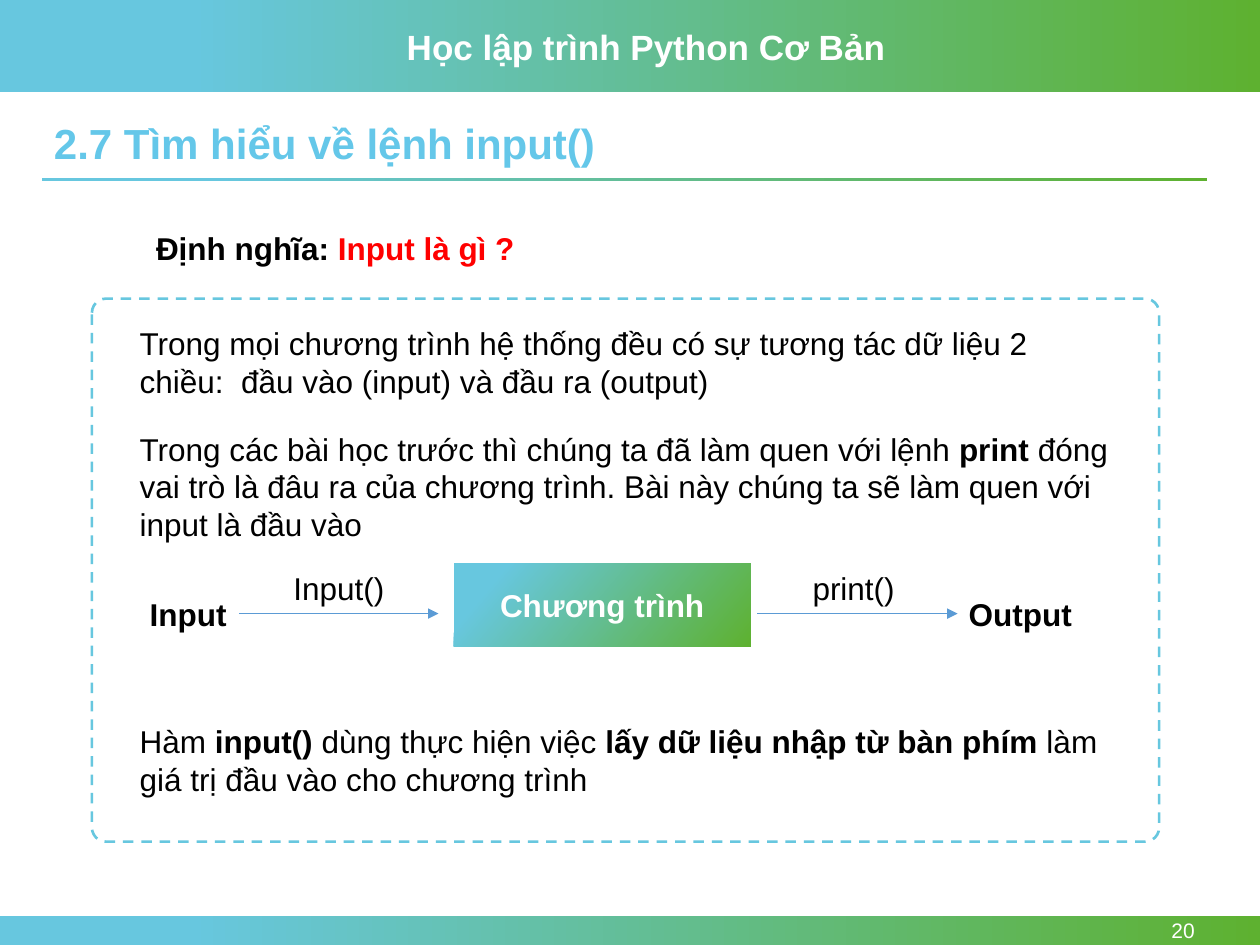
import pptx
import pptx.dml.color
import pptx.enum.dml
import pptx.enum.shapes
import pptx.enum.text
import pptx.oxml
import pptx.oxml.ns
import pptx.util
from pptx.util import Inches

THEME = {
    "font": "Arial",
    "sky": "67C7DF", "green": "5EB130", "heading": "64C7E9", "arrow": "5B9BD5",
    "white": "FFFFFF", "black": "000000", "red": "FF0000",
    "banner_size": 20, "heading_size": 24, "body_size": 18, "number_size": 12,
}

# Rectangles: left, top, width, height in inches
BARS = [(0, 0, 10, 0.73), (0, 7.27, 10, 0.23), (0.33, 1.41, 9.25, 0.03)]
FRAME = (0.73, 2.37, 8.47, 4.31)
PROGRAM_BOX = (3.6, 4.47, 2.36, 0.66)

# Runs: text, bold, colour name
BANNER = [("Học lập trình Python Cơ Bản", True, "white")]
HEADING = [("2.7 Tìm hiểu về lệnh input()", True, "heading")]
PAGE_NUMBER = [("20", False, "white")]
PROGRAM = [("Chương trình", True, "white")]
DEFINITION = [("Định nghĩa: ", True, "black"), ("Input là gì ?", True, "red")]

# Explanations: top, height, runs
EXPLANATIONS = [
    (2.52, 0.71, [
        ("Trong mọi chương trình hệ thống đều có sự tương tác dữ liệu 2 chiều:  "
         "đầu vào (input) và đầu ra (output)", False, "black")]),
    (3.36, 1.01, [
        ("Trong các bài học trước thì chúng ta đã làm quen với lệnh ", False, "black"),
        ("print ", True, "black"),
        ("đóng vai trò là đâu ra của chương trình. Bài này chúng ta sẽ làm quen "
         "với input là đầu vào", False, "black")]),
    (5.68, 0.71, [
        ("Hàm ", False, "black"),
        ("input() ", True, "black"),
        ("dùng thực hiện việc ", False, "black"),
        ("lấy dữ liệu nhập từ bàn phím ", True, "black"),
        ("làm giá trị đầu vào cho chương trình", False, "black")]),
]

# Diagram labels: text, bold, left, top, width
LABELS = [
    ("Input", True, 1.09, 4.67, 1.24),
    ("Output", True, 7.59, 4.67, 1.24),
    ("Input()", False, 2.23, 4.47, 1.05),
    ("print()", False, 6.35, 4.47, 1.05),
]
LABEL_HEIGHT = 0.4
ARROW_TOP = 4.87
ARROWS = [(1.9, 3.48), (6.01, 7.6)]

ALIGN = pptx.enum.text.PP_ALIGN
ANCHOR = pptx.enum.text.MSO_ANCHOR
SHAPES = pptx.enum.shapes.MSO_SHAPE


def color(name):
    return pptx.dml.color.RGBColor.from_string(THEME[name])


def write_runs(shape, runs, size, align=ALIGN.LEFT):
    paragraph = shape.text_frame.paragraphs[0]
    paragraph.alignment = align
    for text, bold, color_name in runs:
        run = paragraph.add_run()
        run.text = text
        run.font.name = THEME["font"]
        run.font.size = pptx.util.Pt(THEME[size])
        run.font.bold = bold
        run.font.color.rgb = color(color_name)
    return paragraph


def add_text(slide, box, runs, size="body_size", align=ALIGN.LEFT, anchor=ANCHOR.TOP):
    shape = slide.shapes.add_textbox(*map(Inches, box))
    shape.text_frame.word_wrap = True
    shape.text_frame.vertical_anchor = anchor
    return write_runs(shape, runs, size, align)


def add_shape(slide, kind, box):
    shape = slide.shapes.add_shape(kind, *map(Inches, box))
    shape.shadow.inherit = False
    return shape


def add_gradient_bar(slide, box, clockwise_angle=0):
    bar = add_shape(slide, SHAPES.RECTANGLE, box)
    bar.line.fill.background()
    bar.fill.gradient()
    bar.fill.gradient_angle = -clockwise_angle % 360
    stops = [(0.15, "sky"), (1, "green")]
    for stop, (position, color_name) in zip(bar.fill.gradient_stops, stops):
        stop.position = position
        stop.color.rgb = color(color_name)
    return bar


def add_frame(slide):
    frame = add_shape(slide, SHAPES.ROUNDED_RECTANGLE, FRAME)
    frame.adjustments[0] = 0.026
    frame.fill.solid()
    frame.fill.fore_color.rgb = color("white")
    frame.line.color.rgb = color("sky")
    frame.line.width = pptx.util.Pt(1.5)
    frame.line.dash_style = pptx.enum.dml.MSO_LINE.DASH


def add_arrow(slide, start, end):
    arrow = slide.shapes.add_connector(
        pptx.enum.shapes.MSO_CONNECTOR.STRAIGHT,
        Inches(start), Inches(ARROW_TOP), Inches(end), Inches(ARROW_TOP))
    arrow.line.color.rgb = color("arrow")
    arrow.line.width = pptx.util.Pt(0.5)
    namespace = pptx.oxml.ns.nsdecls("a")
    line = arrow.line._get_or_add_ln()
    line.append(pptx.oxml.parse_xml(f'<a:tailEnd {namespace} type="triangle"/>'))
    arrow._element.spPr.append(pptx.oxml.parse_xml(f"<a:effectLst {namespace}/>"))


def main():
    presentation = pptx.Presentation()
    presentation.slide_width = Inches(10)
    presentation.slide_height = Inches(7.5)
    slide = presentation.slides.add_slide(presentation.slide_layouts[6])

    for box in BARS:
        add_gradient_bar(slide, box)
    add_text(slide, (3.13, 0.15, 4, 0.44), BANNER, "banner_size")
    add_text(slide, (8.66, 7.27, 0.92, 0.23), PAGE_NUMBER, "number_size",
             ALIGN.RIGHT, ANCHOR.MIDDLE)
    heading = add_text(slide, (0.33, 0.93, 9.25, 0.46), HEADING, "heading_size")
    heading.line_spacing = 0.9
    add_text(slide, (1.14, 1.77, 3.23, 0.4), DEFINITION)

    add_frame(slide)
    for top, height, runs in EXPLANATIONS:
        add_text(slide, (1.01, top, 7.91, height), runs)

    program = add_gradient_bar(slide, PROGRAM_BOX, clockwise_angle=40)
    program.text_frame.vertical_anchor = ANCHOR.MIDDLE
    write_runs(program, PROGRAM, "body_size", ALIGN.CENTER)
    for text, bold, left, top, width in LABELS:
        add_text(slide, (left, top, width, LABEL_HEIGHT), [(text, bold, "black")])
    for start, end in ARROWS:
        add_arrow(slide, start, end)

    presentation.save("out.pptx")


if __name__ == "__main__":
    main()
